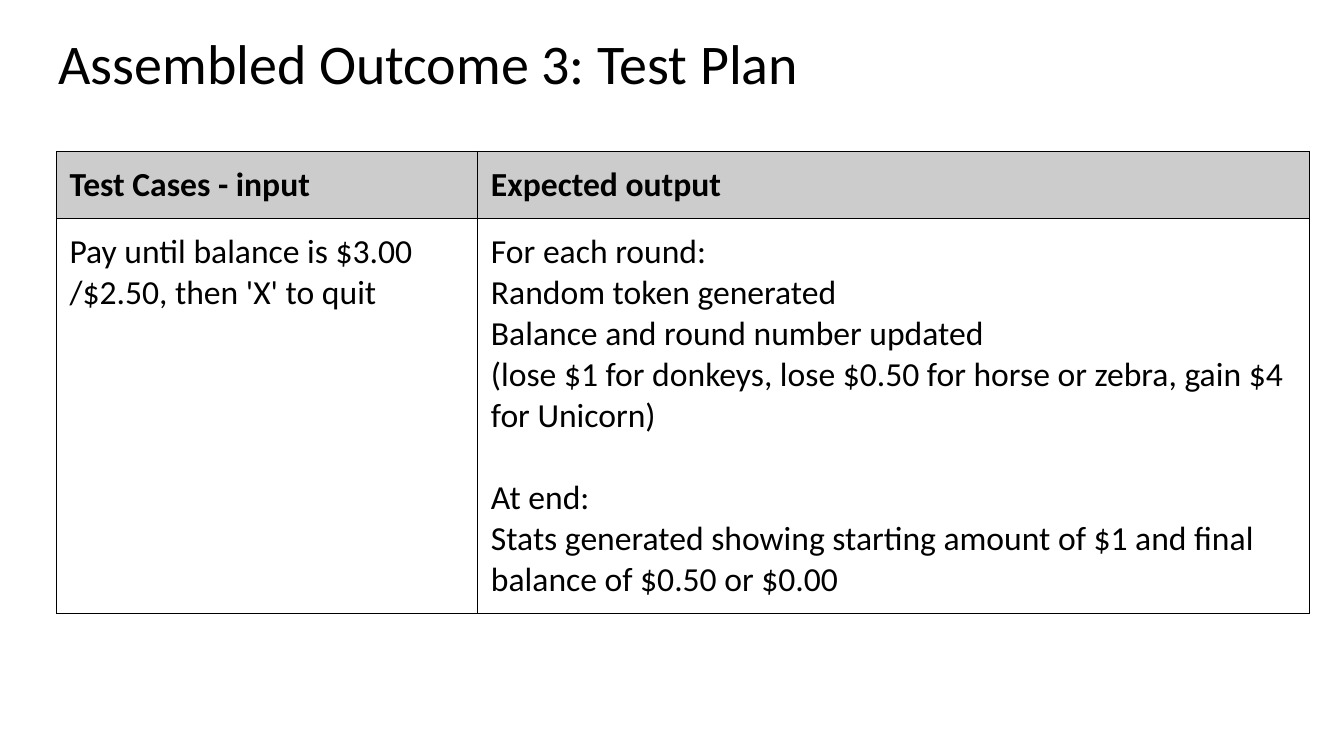
from lxml import etree
from pptx import Presentation
from pptx.dml.color import RGBColor
from pptx.enum import text
from pptx.oxml import ns
from pptx.util import Inches, Pt

BLACK = RGBColor(0x00, 0x00, 0x00)
HEADER_GRAY = RGBColor(0xCC, 0xCC, 0xCC)
INSET = Inches(0.13)
LINE_HEIGHT = Pt(29.3)


def write(paragraph, content, size=24, bold=False):
    run = paragraph.add_run()
    run.text = content
    run.font.name = "Calibri"
    run.font.size = Pt(size)
    run.font.bold = bold
    run.font.color.rgb = BLACK


def add_borders(cell):
    properties = cell._tc.get_or_add_tcPr()
    for position, side in enumerate(("lnL", "lnR", "lnT", "lnB")):
        line = etree.Element(ns.qn("a:" + side), w=str(Pt(0.75)))
        fill = etree.SubElement(line, ns.qn("a:solidFill"))
        etree.SubElement(fill, ns.qn("a:srgbClr"), val=str(BLACK))
        properties.insert(position, line)


presentation = Presentation()
presentation.slide_width = Inches(13.33)
presentation.slide_height = Inches(7.5)
slide = presentation.slides.add_slide(presentation.slide_layouts[5])

# Title
title = slide.shapes.title
title.left, title.top = Inches(0.45), Inches(0.24)
title.width, title.height = Inches(12.42), Inches(0.84)
frame = title.text_frame
frame.margin_left = frame.margin_right = INSET
frame.margin_top = frame.margin_bottom = INSET
frame.vertical_anchor = text.MSO_ANCHOR.MIDDLE
frame.auto_size = text.MSO_AUTO_SIZE.NONE
frame.word_wrap = True
frame.paragraphs[0].alignment = text.PP_ALIGN.LEFT
frame.paragraphs[0].line_spacing = 0.9
write(frame.paragraphs[0], "Assembled Outcome 3: Test Plan", size=40)

# Test plan: each cell is a list of paragraphs
test_plan = [
    [["Test Cases - input"], ["Expected output"]],
    [
        ["Pay until balance is $3.00 /$2.50, then 'X' to quit"],
        [
            "For each round:",
            "Random token generated",
            "Balance and round number updated",
            "(lose $1 for donkeys, lose $0.50 for horse or zebra, gain $4 for Unicorn)",
            "At end:",
            "Stats generated showing starting amount of $1 and final balance of $0.50 or $0.00",
        ],
    ],
]
table = slide.shapes.add_table(
    2, 2, Inches(0.56), Inches(1.5), Inches(12.43), Inches(4.59)
).table
table.horz_banding = False
for column, width in zip(table.columns, (4.18, 8.25)):
    column.width = Inches(width)
for row, height in zip(table.rows, (0.67, 3.92)):
    row.height = Inches(height)

for row_index, row in enumerate(test_plan):
    is_header = row_index == 0
    for column_index, lines in enumerate(row):
        cell = table.cell(row_index, column_index)
        cell.margin_left = cell.margin_right = INSET
        cell.margin_top = cell.margin_bottom = INSET
        cell.vertical_anchor = text.MSO_ANCHOR.TOP
        if is_header:
            cell.fill.solid()
            cell.fill.fore_color.rgb = HEADER_GRAY
        else:
            cell.fill.background()
        add_borders(cell)
        for line_index, content in enumerate(lines):
            if line_index == 0:
                paragraph = cell.text_frame.paragraphs[0]
            else:
                paragraph = cell.text_frame.add_paragraph()
            if content == "At end:":
                paragraph.space_before = LINE_HEIGHT
            write(paragraph, content, bold=is_header)

presentation.save("out.pptx")
